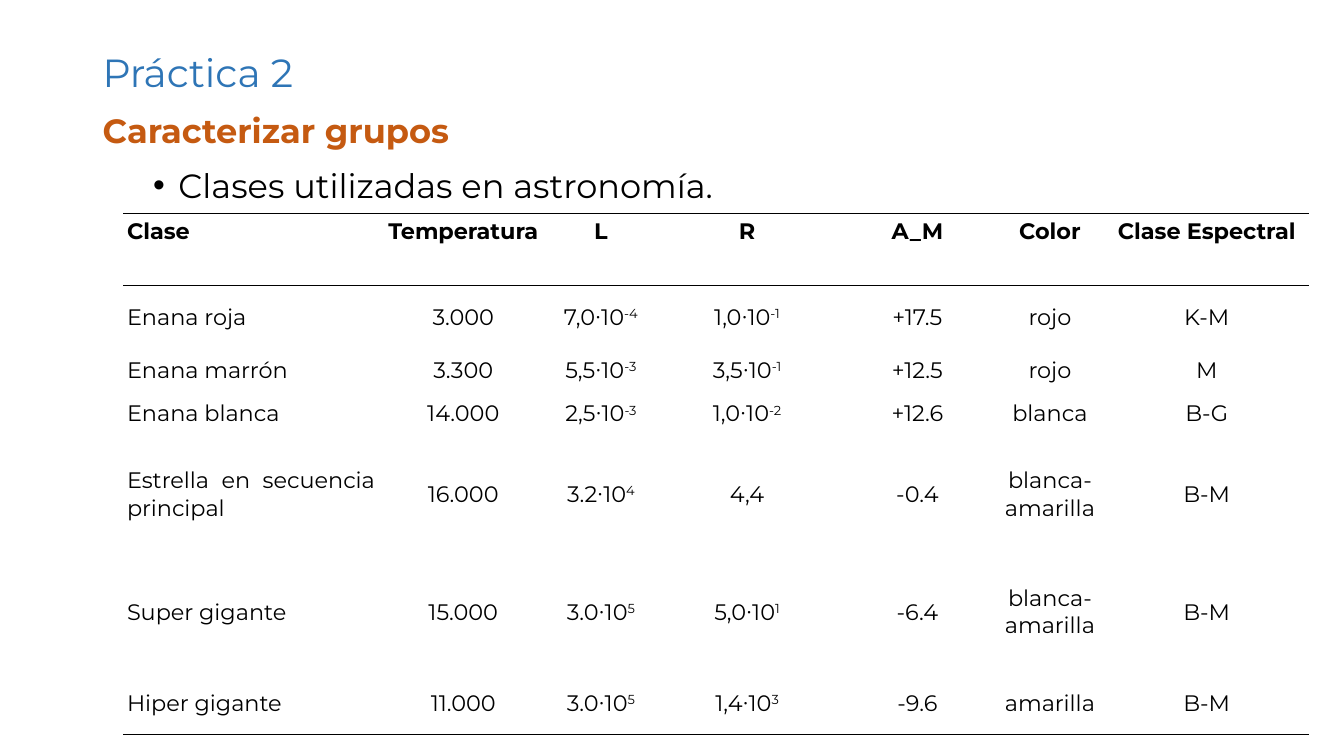
"""Build the slide that lists the star classes used in astronomy."""
from lxml import etree
from pptx import Presentation
from pptx.dml.color import RGBColor
from pptx.enum.text import MSO_ANCHOR, PP_ALIGN
from pptx.oxml.ns import qn
from pptx.util import Inches, Pt

LEFT, MID, JUST = PP_ALIGN.LEFT, PP_ALIGN.CENTER, PP_ALIGN.JUSTIFY
TOP, CENTER = MSO_ANCHOR.TOP, MSO_ANCHOR.MIDDLE
FONT, BLACK = "Montserrat", "000000"

HEADS = [
    ("Práctica 2", (0.92, 0.4, 11.5, 0.69), CENTER,
     dict(size=28, color="2E75B6", line=0.9)),
    ("Caracterizar grupos", (0.92, 1.09, 11.5, 0.9), TOP,
     dict(size=24, color="C55A11", bold=True, line=0.9, before=10)),
    ("Clases utilizadas en astronomía.", (0.92, 1.63, 11.5, 5.47), TOP,
     dict(size=24, line=0.9, before=5, bullet="•")),
]
STARS = [
    ("Clase", "Temperatura", "L", "R", "A_M", "Color", "Clase Espectral"),
    ("Enana roja", "3.000", "7,0∙10^-4", "1,0∙10^-1", "+17.5", "rojo", "K-M"),
    ("Enana marrón", "3.300", "5,5∙10^-3", "3,5∙10^-1", "+12.5", "rojo", "M"),
    ("Enana blanca", "14.000", "2,5∙10^-3", "1,0∙10^-2", "+12.6", "blanca", "B-G"),
    ("Estrella en secuencia principal", "16.000", "3.2∙10^4", "4,4", "-0.4",
     "blanca-amarilla", "B-M"),
    ("Super gigante", "15.000", "3.0∙10^5", "5,0∙10^1", "-6.4",
     "blanca-amarilla", "B-M"),
    ("Hiper gigante", "11.000", "3.0∙10^5", "1,4∙10^3", "-9.6", "amarilla", "B-M"),
]
WIDTHS = [2.54, 1.67, 1.06, 1.84, 1.54, 1.09, 2.02]
HEIGHTS = [0.71, 0.63, 0.43, 0.43, 1.17, 1.17, 0.63]
RULES = {0: ("lnT", "lnB"), 1: ("lnT",), len(STARS) - 1: ("lnB",)}


def paint(fill, color):
    fill.solid()
    fill.fore_color.rgb = RGBColor.from_string(color)


def write(frame, text, size=16, color=BLACK, bold=False, align=LEFT,
          line=None, before=None, bullet=None):
    frame.word_wrap = True
    para = frame.paragraphs[0]
    para.alignment = align
    if line:
        para.line_spacing = line
    if before:
        para.space_before = Pt(before)
    if bullet:
        props = para._p.get_or_add_pPr()
        props.set("marL", str(Inches(0.75)))
        props.set("indent", str(Inches(-0.25)))
        etree.SubElement(props, qn("a:buFont"), typeface="Arial")
        etree.SubElement(props, qn("a:buChar"), char=bullet)
    for num, part in enumerate(text.split("^")):
        run = para.add_run()
        run.text = part
        font = run.font
        font.name, font.size, font.bold = FONT, Pt(size), bold
        paint(font.fill, color)
        if num:
            run._r.get_or_add_rPr().set("baseline", "30000")


def border(cell, rules):
    props = cell._tc.get_or_add_tcPr()
    for num, side in enumerate(("lnL", "lnR", "lnT", "lnB")):
        edge = etree.Element(qn("a:" + side), w=str(Pt(1)))
        if side in rules:
            solid = etree.SubElement(edge, qn("a:solidFill"))
            etree.SubElement(solid, qn("a:srgbClr"), val=BLACK)
        else:
            etree.SubElement(edge, qn("a:noFill"))
        props.insert(num, edge)


def main():
    deck = Presentation()
    deck.slide_width, deck.slide_height = Inches(13.33), Inches(7.5)
    slide = deck.slides.add_slide(deck.slide_layouts[6])

    for text, place, anchor, style in HEADS:
        frame = slide.shapes.add_textbox(*map(Inches, place)).text_frame
        frame.vertical_anchor = anchor
        write(frame, text, **style)

    place = map(Inches, (1.22, 2.12, sum(WIDTHS), sum(HEIGHTS)))
    table = slide.shapes.add_table(len(STARS), len(WIDTHS), *place).table
    table.first_row = table.horz_banding = False
    for col, width in zip(table.columns, WIDTHS):
        col.width = Inches(width)
    for row, (height, texts) in enumerate(zip(HEIGHTS, STARS)):
        table.rows[row].height = Inches(height)
        for col, text in enumerate(texts):
            cell = table.cell(row, col)
            cell.fill.background()
            cell.margin_left = cell.margin_right = Inches(0.04)
            cell.margin_top = cell.margin_bottom = Inches(0.04)
            cell.vertical_anchor = CENTER if row else TOP
            write(cell.text_frame, text, bold=row == 0,
                  align=MID if col else JUST)
            border(cell, RULES.get(row, ()))

    deck.save("out.pptx")


if __name__ == "__main__":
    main()
